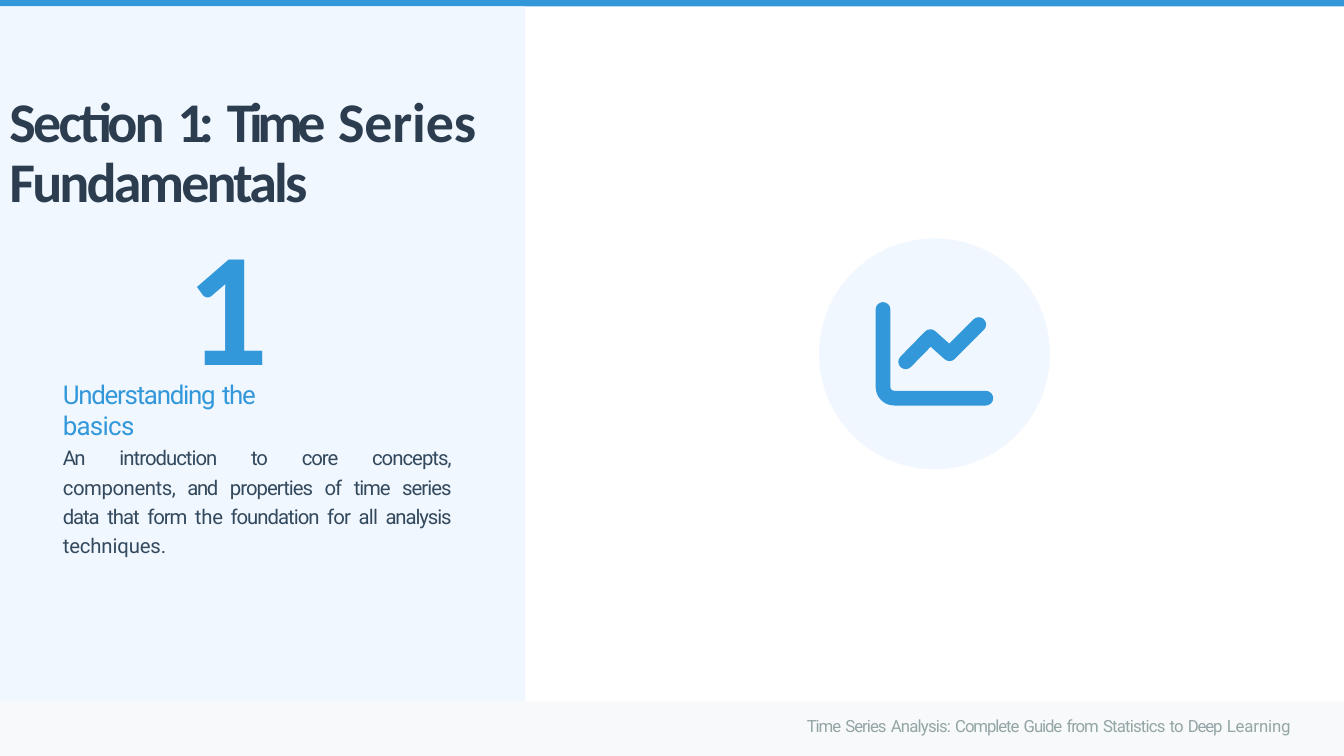
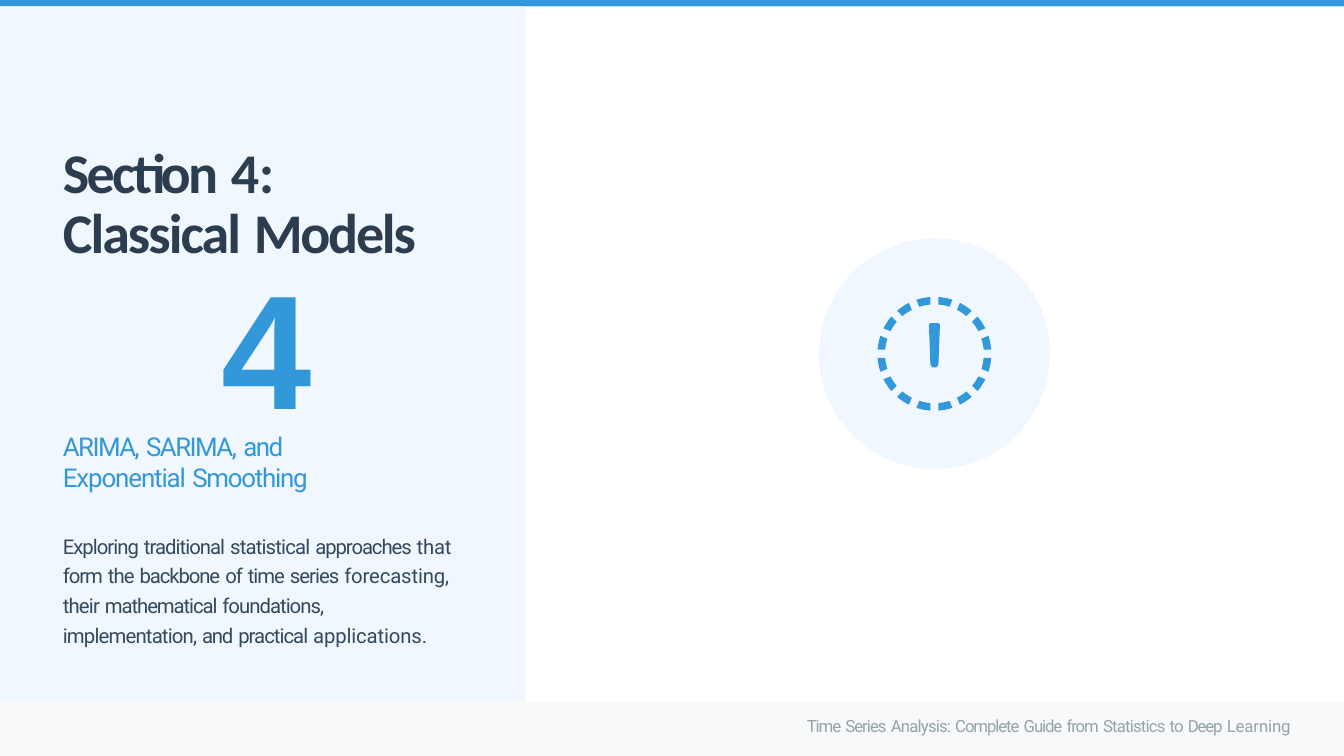
from dataclasses import dataclass
from math import asin, cos, pi, radians, sin

from lxml.etree import SubElement
from pptx import Presentation
from pptx.dml.color import RGBColor
from pptx.enum.shapes import MSO_SHAPE
from pptx.enum.text import MSO_ANCHOR, MSO_AUTO_SIZE, PP_ALIGN
from pptx.oxml.ns import qn
from pptx.util import Inches, Pt

CELL = Inches(0.1)  # the slide is a grid of square cells
COLS, ROWS = 133.33, 75
COLORS = {
    "accent": "3398DA",
    "panel": "F1F7FF",
    "footer": "F7F9FA",
    "title": "2B3D4F",
    "body": "33495D",
    "muted": "94A5A6",
}


@dataclass
class Box:
    left: float
    top: float
    width: float
    height: float

    def within(self, left, top, width, height):
        return Box(self.left + left, self.top + top, width, height)

    def center(self):
        return self.left + self.width / 2, self.top + self.height / 2

    def emu(self):
        return [round(n * CELL) for n in (self.left, self.top, self.width, self.height)]


@dataclass
class Style:
    font: str
    size: float
    color: str
    bold: bool = False
    before: float = 0
    spacing: object = 1.0
    inset: float = 0.01
    align: object = PP_ALIGN.LEFT


TITLE = Style("Calibri", 40, "title", True, 7, Pt(42.8), 0.1)
SUBTITLE = Style("Roboto", 18.5, "accent", before=1.1, inset=0.02)
FOOTER = Style("Roboto", 12, "muted", spacing=Pt(11.6), inset=0)

BAR = Box(0, 0, COLS, 0.63)
FOOTER_BAND = Box(0, 69.6, COLS, ROWS - 69.6)
PANEL = Box(0, BAR.height, 52.1, FOOTER_BAND.top - BAR.height)
BADGE = Box(81.25, 23.65, 22.9, 22.9)

# Each run is (text, letter spacing in points)
FOOTER_RUNS = [
    ("Time ", -0.8), ("Series ", -0.7), ("Analysis: ", -0.6),
    ("Complete Guide from ", -0.8), ("Statistics ", -0.6), ("to ", -0.7),
    ("Deep ", -0.8), ("Learning", -0.1),
]


def rgb(name):
    return RGBColor.from_string(COLORS[name])


def fill_plain(shape, color):
    shape.shadow.inherit = False
    shape.fill.solid()
    shape.fill.fore_color.rgb = rgb(color)
    shape.line.fill.background()


def add_block(slide, box, color, preset=MSO_SHAPE.RECTANGLE):
    fill_plain(slide.shapes.add_shape(preset, *box.emu()), color)


def split_spaces(runs):
    """Tighten the words only; the spaces between them keep full width."""
    for text, tracking in runs:
        for index, word in enumerate(text.split(" ")):
            if index:
                yield " ", 0
            if word:
                yield word, tracking


def write(shape, box, style, runs):
    """Place a text shape and fill it run by run."""
    shape.left, shape.top, shape.width, shape.height = box.emu()
    frame = shape.text_frame
    frame.word_wrap = True
    frame.auto_size = MSO_AUTO_SIZE.NONE
    frame.vertical_anchor = MSO_ANCHOR.TOP
    frame.margin_left = Pt(1)
    frame.margin_right = frame.margin_bottom = 0
    frame.margin_top = Inches(style.inset)
    paragraph = frame.paragraphs[0]
    paragraph.alignment = style.align
    paragraph.space_before = Pt(style.before)
    paragraph.line_spacing = style.spacing
    for text, tracking in split_spaces(runs):
        run = paragraph.add_run()
        run.text = text
        run.font.name = style.font
        run.font.size = Pt(style.size)
        run.font.bold = style.bold
        run.font.color.rgb = rgb(style.color)
        run.font._element.set("spc", str(round(tracking * 100)))


def add_text(slide, box, style, runs):
    write(slide.shapes.add_textbox(*box.emu()), box, style, runs)


def add_outline(slide, origin, contours, closed):
    """Draw contours given in cells from the origin."""
    def to_emu(point):
        return tuple(round((o + p) * CELL) for o, p in zip(origin, point))

    builder = None
    for contour in contours:
        first, *rest = [to_emu(point) for point in contour]
        if builder is None:
            builder = slide.shapes.build_freeform(*first, scale=1.0)
        else:
            builder.move_to(*first)
        builder.add_line_segments(rest, close=closed)
    return builder.convert_to_shape()


def add_stroke(slide, origin, points):
    """Thick open line with round ends and corners."""
    stroke = add_outline(slide, origin, [points], closed=False)
    stroke.shadow.inherit = False
    stroke.fill.background()
    stroke.line.color.rgb = rgb("accent")
    stroke.line.width = Pt(10.5)
    line = stroke.line._get_or_add_ln()
    line.set("cap", "rnd")
    SubElement(line, qn("a:round"))


def draw_line_chart(slide, center):
    radius, x, y = 1.1, -5.1, 4.4
    turn = [radians(15 * step) for step in range(7)]
    corner = [(x + radius * (1 - cos(a)), y - radius * (1 - sin(a))) for a in turn]
    add_stroke(slide, center, [(x, -y), *corner, (-x, y)])
    add_stroke(slide, center, [(-2.85, 0.8), (-0.4, -1.7), (1.5, 0), (4.4, -2.9)])


def draw_dial(slide, center):
    dashes, outer, inner, half_gap = 16, 5.65, 4.9, 0.4
    step = 2 * pi / dashes

    def arc(radius, start):
        trim = asin(half_gap / radius)
        sweep = step - 2 * trim
        angles = [start + trim + sweep * i / 4 for i in range(5)]
        return [(radius * sin(a), -radius * cos(a)) for a in angles]

    ring = [arc(outer, k * step) + arc(inner, k * step)[::-1] for k in range(dashes)]
    right = [(0.4, -3.05), (0.55, -2.9), (0.4, 1.1), (0.2, 1.35)]
    hand = right + [(-x, y) for x, y in reversed(right)]
    for contours in (ring, [hand]):
        fill_plain(add_outline(slide, center, contours, closed=True), "accent")


def add_frame(slide):
    """Top bar, footer band and side panel shared by all sections."""
    add_block(slide, BAR, "accent")
    add_block(slide, FOOTER_BAND, "footer")
    add_block(slide, PANEL, "panel")
    add_text(slide, FOOTER_BAND.within(79.9, 1.84, 50.2, 2.2), FOOTER, FOOTER_RUNS)


def add_badge(slide, box, draw_icon):
    add_block(slide, box, "panel", MSO_SHAPE.OVAL)
    draw_icon(slide, box.center())


def add_panel_text(slide, panel, section):
    number_style = Style(section["number_font"], 116, "accent", True, 0.9)
    body_style = Style("Roboto", 14.5, "body", before=0.9,
                       spacing=section["body_spacing"], align=section["body_align"])
    add_text(slide, panel.within(*section["number_at"]), number_style, section["number"])
    write(slide.shapes.title, panel.within(*section["title_at"]), TITLE, section["title"])
    add_text(slide, panel.within(*section["subtitle_at"]), SUBTITLE, section["subtitle"])
    add_text(slide, panel.within(*section["body_at"]), body_style, section["body"])


def add_section(deck, section):
    slide = deck.slides.add_slide(deck.slide_layouts[5])
    add_frame(slide)
    add_badge(slide, BADGE, section["icon"])
    add_panel_text(slide, PANEL, section)
    # Bring the title in front of the panel
    tree = slide.shapes._spTree
    tree.append(slide.shapes.title._element)


# Positions are cells inside the side panel
SECTIONS = [
    {
        "icon": draw_line_chart,
        "number_font": "Calibri",
        "number_at": (18.35, 19.45, 9, 19.6),
        "number": [("1", -3.8)],
        "title_at": (0.8, 7.7, 51.3, 14),
        "title": [("Section ", -1.9), ("1: ", -5), ("Time ", -3.9),
                  ("Series ", -0.1), ("Fundamentals", -2)],
        "subtitle_at": (6.1, 36.7, 26, 6.4),
        "subtitle": [("Understanding the ", -0.9), ("basics", -0.5)],
        "body_at": (6.1, 42.95, 38.7, 12),
        "body_spacing": 1.21,
        "body_align": PP_ALIGN.JUSTIFY,
        "body": [
            ("An ", -1.2), ("introduction ", -0.7), ("to core ", -0.8),
            ("concepts, ", -0.7), ("components, ", -0.3), ("and ", -1),
            ("properties ", -0.7), ("of time ", -0.8), ("series ", -0.7),
            ("data ", -0.8), ("that ", -0.7), ("form ", -0.8), ("the ", -0.2),
            ("foundation ", -0.7), ("for ", -0.6), ("all ", -0.5),
            ("analysis ", -0.8), ("techniques.", -0.1),
        ],
    },
    {
        "icon": draw_dial,
        "number_font": "Arial",
        "number_at": (21.85, 23.8, 11, 19.6),
        "number": [("4", -6.3)],
        "title_at": (6.1, 12.7, 39.3, 12.9),
        "title": [("Section ", -1.9), ("4: ", -0.2), ("Classical ", -1.4),
                  ("Models", -1.6)],
        "subtitle_at": (6.1, 41.85, 26, 6.4),
        "subtitle": [("ARIMA, SARIMA, and ", -1.1), ("Exponential ", -0.8),
                     ("Smoothing", -0.9)],
        "body_at": (6.1, 51.7, 39.3, 12),
        "body_spacing": 1.22,
        "body_align": PP_ALIGN.LEFT,
        "body": [
            ("Exploring traditional ", -0.7), ("statistical ", -0.6),
            ("approaches ", -0.8), ("that ", -0.2), ("form ", -0.8),
            ("the ", -0.7), ("backbone ", -0.8), ("of ", -0.7), ("time ", -0.8),
            ("series ", -0.7), ("forecasting, ", -0.1), ("their ", -0.6),
            ("mathematical ", -0.8), ("foundations, ", -0.7),
            ("implementation, ", -0.6), ("and ", -0.9), ("practical ", -0.7),
            ("applications.", -0.1),
        ],
    },
]


def main():
    deck = Presentation()
    deck.slide_width = round(COLS * CELL)
    deck.slide_height = ROWS * CELL
    for section in SECTIONS:
        add_section(deck, section)
    deck.save("out.pptx")


if __name__ == "__main__":
    main()
